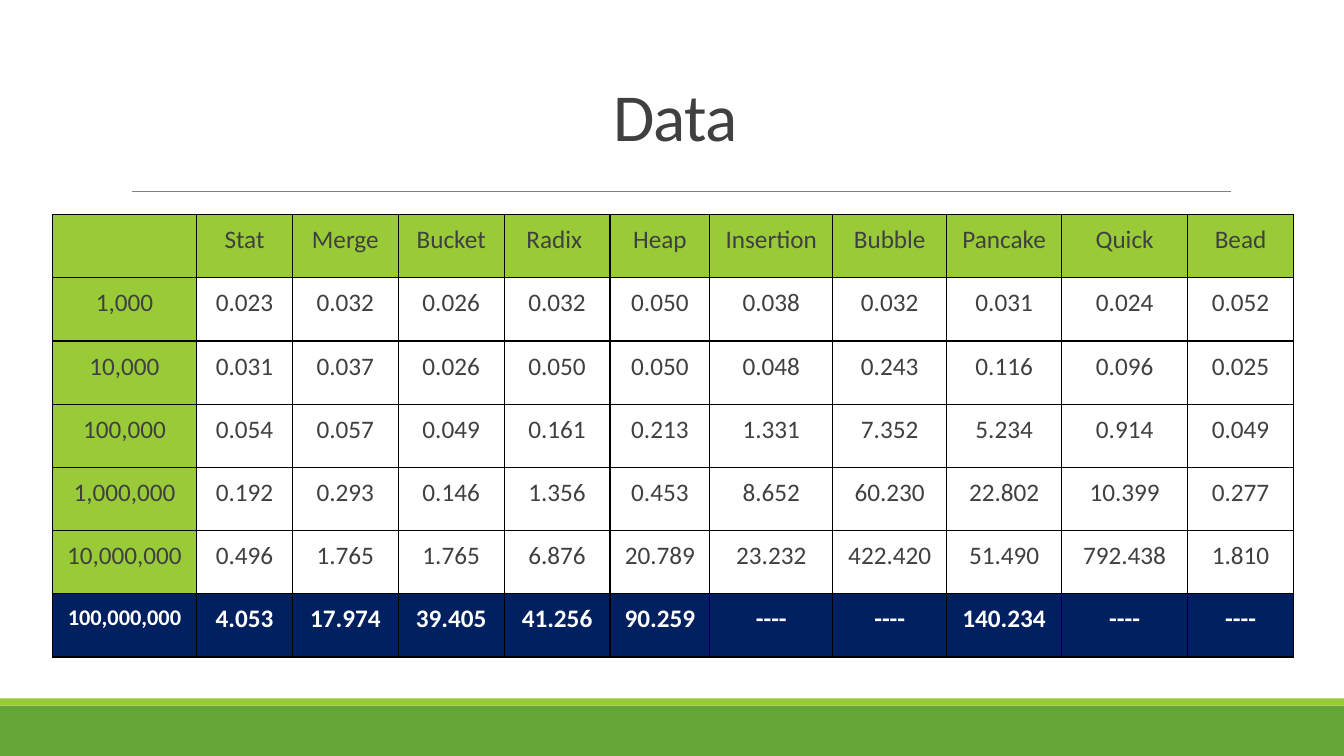
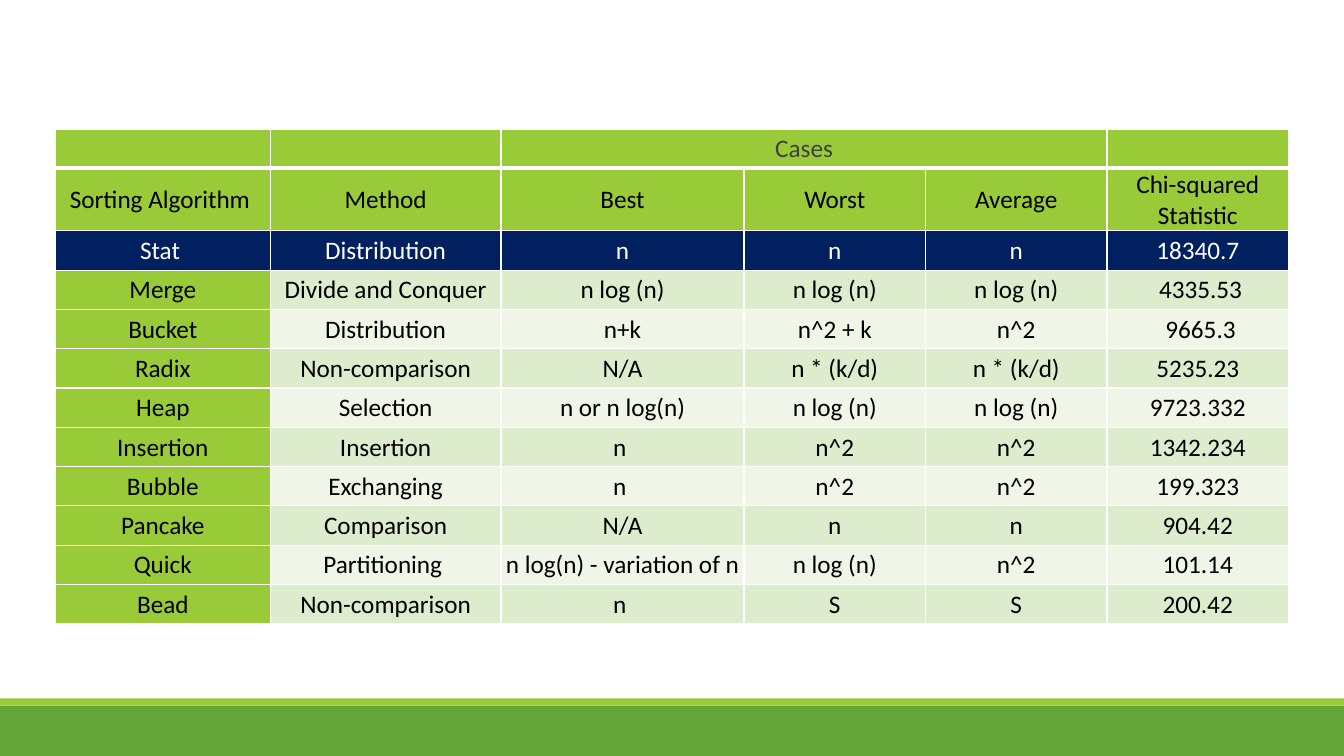
from dataclasses import dataclass

from lxml import etree
from pptx import Presentation
from pptx import util as u
from pptx.dml.color import RGBColor
from pptx.enum import shapes, text
from pptx.oxml import ns


@dataclass(frozen=True)
class Theme:
    font: str = "Calibri"
    title_size: int = 48
    body_size: int = 18
    small_size: int = 16
    green: str = "63A537"
    lime: str = "99CB38"
    navy: str = "002060"
    band_dark: str = "DEECCE"
    band_light: str = "EFF6E8"
    grey: str = "404040"
    rule: str = "808080"
    black: str = "000000"
    white: str = "FFFFFF"


@dataclass(frozen=True)
class CellStyle:
    fill: str | None
    color: str
    size: int = 18
    bold: bool = False


@dataclass(frozen=True)
class TableLook:
    border: str
    margins: tuple  # left, top, right, bottom
    anchor: text.MSO_ANCHOR


THEME = Theme()
WIDTH, HEIGHT = 13.33, 7.5
FOOTER_TOP, STRIPE = 7.0, 0.07

TIMING_COLUMNS = [1.43, 0.95, 1.05, 1.05, 1.05, 0.99, 1.22, 1.13, 1.14, 1.25, 1.05]
TIMINGS = [
    ["", "Stat", "Merge", "Bucket", "Radix ", "Heap", "Insertion", "Bubble",
     "Pancake", "Quick", "Bead"],
    *(line.split() for line in (
        "1,000 0.023 0.032 0.026 0.032 0.050 0.038 0.032 0.031 0.024 0.052",
        "10,000 0.031 0.037 0.026 0.050 0.050 0.048 0.243 0.116 0.096 0.025",
        "100,000 0.054 0.057 0.049 0.161 0.213 1.331 7.352 5.234 0.914 0.049",
        "1,000,000 0.192 0.293 0.146 1.356 0.453 8.652 60.230 22.802 10.399 0.277",
        "10,000,000 0.496 1.765 1.765 6.876 20.789 23.232 422.420 51.490 792.438 1.810",
        "100,000,000 4.053 17.974 39.405 41.256 90.259 ---- ---- 140.234 ---- ----",
    )),
]

CASE_COLUMNS = [2.13, 2.29, 2.41, 1.8, 1.8, 1.8]
CASES = [
    ["", "", "Cases", "", "", ""],
    ["Sorting Algorithm ", "Method", "Best", "Worst", "Average", "Chi-squared Statistic"],
    ["Stat ", "Distribution", "n", "n", "n", "18340.7"],
    ["Merge", "Divide and Conquer", "n log (n)", "n log (n)", "n log (n)", " 4335.53"],
    ["Bucket", "Distribution", "n+k", "n^2 + k", "n^2", " 9665.3"],
    ["Radix", "Non-comparison", "N/A", "n * (k/d)", "n * (k/d)", "5235.23"],
    ["Heap", "Selection", "n or n log(n)", "n log (n)", "n log (n)", "9723.332"],
    ["Insertion", "Insertion", "n ", "n^2", "n^2", "1342.234"],
    ["Bubble", "Exchanging", "n ", "n^2", "n^2", "199.323"],
    ["Pancake", "Comparison", "N/A", "n", "n", "904.42"],
    ["Quick", "Partitioning ", "n log(n) - variation of n", "n log (n)", "n^2", "101.14"],
    ["Bead", "Non-comparison", "n ", "S", "S", "200.42"],
]


def rgb(color):
    return RGBColor.from_string(color)


def style_paragraph(paragraph, size, color, bold=False):
    paragraph.alignment = text.PP_ALIGN.CENTER
    font = paragraph.font
    font.name, font.size, font.bold = THEME.font, u.Pt(size), bold
    font.color.rgb = rgb(color)


# Slide frame
def add_band(slide, top, height, color):
    band = slide.shapes.add_shape(shapes.MSO_SHAPE.RECTANGLE, 0, u.Inches(top),
                                  u.Inches(WIDTH), u.Inches(height))
    band.shadow.inherit = False
    band.fill.solid()
    band.fill.fore_color.rgb = rgb(color)
    band.line.fill.background()


def add_framed_slide(presentation):
    slide = presentation.slides.add_slide(presentation.slide_layouts[6])
    add_band(slide, FOOTER_TOP, HEIGHT - FOOTER_TOP, THEME.green)
    add_band(slide, FOOTER_TOP - STRIPE, STRIPE, THEME.lime)
    return slide


def add_title(slide, title):
    # Rule below the title
    rule = slide.shapes.add_connector(shapes.MSO_CONNECTOR.STRAIGHT, u.Inches(1.31),
                                      u.Inches(1.9), u.Inches(12.21), u.Inches(1.9))
    rule.line.color.rgb = rgb(THEME.rule)
    rule.line.width = u.Pt(0.5)
    etree.SubElement(rule._element.spPr, ns.qn("a:effectLst"))

    # Title text, standing on the bottom of its box
    box = slide.shapes.add_textbox(u.Inches(1.2), 0, u.Inches(11), u.Inches(1.59))
    frame = box.text_frame
    frame.word_wrap = True
    frame.vertical_anchor = text.MSO_ANCHOR.BOTTOM
    paragraph = frame.paragraphs[0]
    run = paragraph.add_run()
    run.text = title
    run._r.get_or_add_rPr().set("spc", "-50")
    paragraph.line_spacing = 0.85
    style_paragraph(paragraph, THEME.title_size, THEME.grey)


# Tables
def set_border(cell, side, color, points):
    properties = cell._tc.get_or_add_tcPr()
    line = etree.SubElement(properties, ns.qn(f"a:ln{side}"), w=str(u.Pt(points)))
    fill = etree.SubElement(line, ns.qn("a:solidFill"))
    etree.SubElement(fill, ns.qn("a:srgbClr"), val=color)


def format_cell(cell, content, style, look, heavy_side):
    cell.text = content
    style_paragraph(cell.text_frame.paragraphs[0], style.size, style.color, style.bold)
    cell.vertical_anchor = look.anchor
    (cell.margin_left, cell.margin_top,
     cell.margin_right, cell.margin_bottom) = map(u.Inches, look.margins)
    for side in "LRTB":
        set_border(cell, side, look.border, 3 if side == heavy_side else 1)
    if style.fill:
        cell.fill.solid()
        cell.fill.fore_color.rgb = rgb(style.fill)
    else:
        cell.fill.background()


def add_grid(slide, left, top, columns, heights, rows, look, style_at, heavy_sides=()):
    """heavy_sides names, row by row, the side that has a thick border."""
    heavy = dict(enumerate(heavy_sides))
    frame = slide.shapes.add_table(len(rows), len(columns), u.Inches(left), u.Inches(top),
                                   u.Inches(sum(columns)), u.Inches(sum(heights)))
    table = frame.table
    table.first_row = table.horz_banding = False
    for column, width in zip(table.columns, columns):
        column.width = u.Inches(width)
    for row, height in zip(table.rows, heights):
        row.height = u.Inches(height)
    for r, row in enumerate(rows):
        for c, content in enumerate(row):
            format_cell(table.cell(r, c), content, style_at(r, c), look, heavy.get(r))
    return table


def timing_style(row, column):
    if row == len(TIMINGS) - 1:
        size = THEME.body_size if column else THEME.small_size
        return CellStyle(THEME.navy, THEME.white, size, bold=True)
    is_label = row == 0 or column == 0
    return CellStyle(THEME.lime if is_label else None, THEME.grey, THEME.body_size)


def case_style(row, column):
    if row == 0:
        return CellStyle(THEME.lime, THEME.grey, THEME.body_size)
    if row == 2:
        return CellStyle(THEME.navy, THEME.white, THEME.body_size)
    if row == 1 or column == 0:
        return CellStyle(THEME.lime, THEME.black, THEME.body_size)
    band = THEME.band_dark if row % 2 else THEME.band_light
    return CellStyle(band, THEME.black, THEME.body_size)


# Slides
def add_data_slide(presentation):
    slide = add_framed_slide(presentation)
    add_title(slide, "Data")
    look = TableLook(THEME.black, (0.1, 0.1, 0.1, 0.1), text.MSO_ANCHOR.TOP)
    heights = [4.39 / len(TIMINGS)] * len(TIMINGS)
    add_grid(slide, 0.52, 2.13, TIMING_COLUMNS, heights, TIMINGS, look, timing_style)


def add_cases_slide(presentation):
    slide = add_framed_slide(presentation)
    look = TableLook(THEME.white, (0.01, 0.01, 0.01, 0), text.MSO_ANCHOR.MIDDLE)
    heights = [0.39] * len(CASES)
    heights[1] = 0.62  # two-line heading
    table = add_grid(slide, 0.55, 1.28, CASE_COLUMNS, heights, CASES, look,
                     case_style, heavy_sides="BT")
    table.cell(0, 2).merge(table.cell(0, 4))


def main():
    presentation = Presentation()
    presentation.slide_width = u.Inches(WIDTH)
    presentation.slide_height = u.Inches(HEIGHT)
    add_data_slide(presentation)
    add_cases_slide(presentation)
    presentation.save("out.pptx")


if __name__ == "__main__":
    main()
